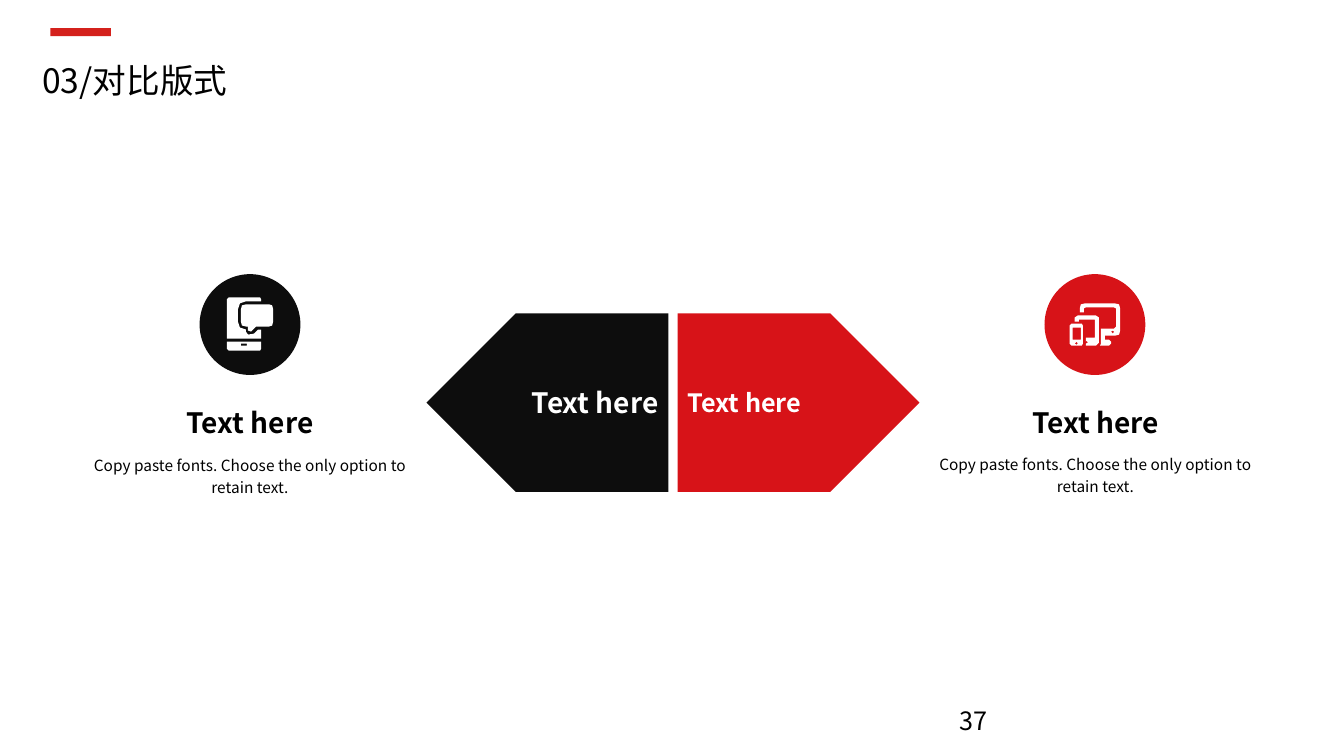
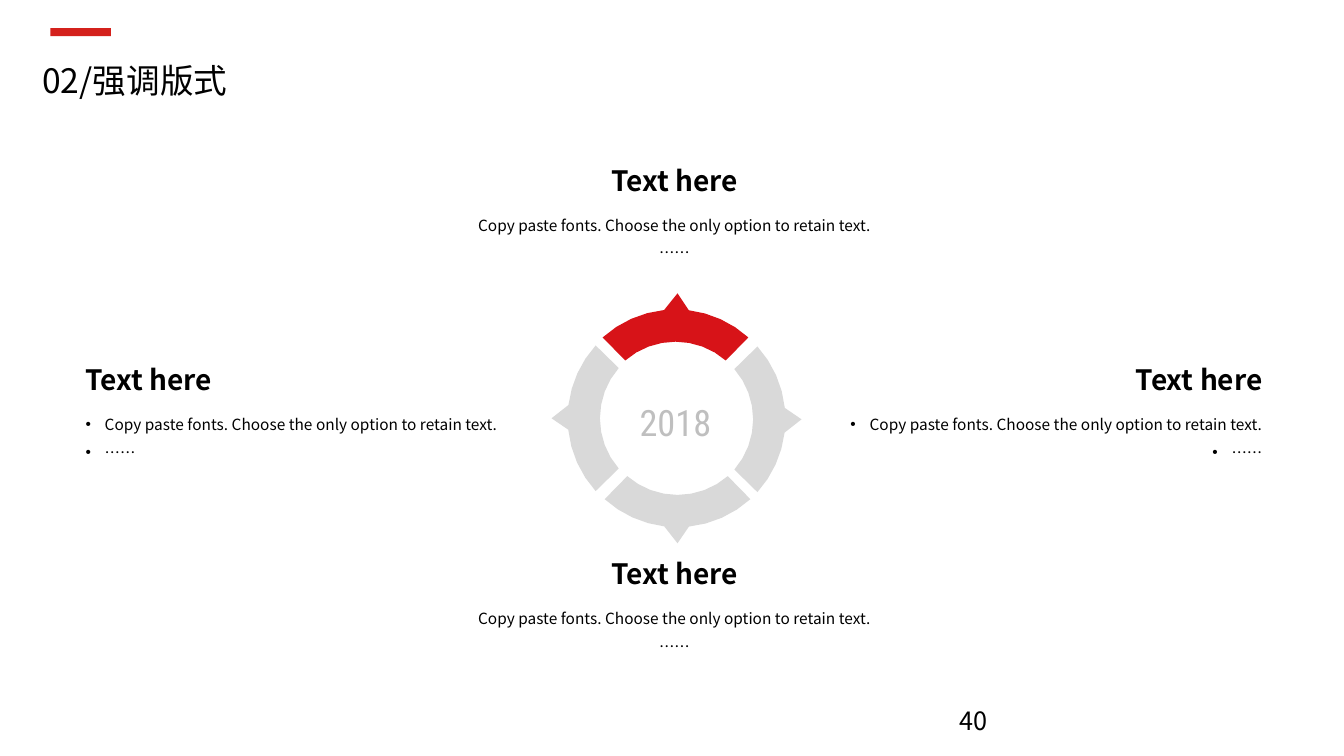
from math import cos, radians, sin

from lxml import etree
from pptx import Presentation
from pptx.dml.color import RGBColor
from pptx.enum.shapes import MSO_SHAPE
from pptx.enum.text import MSO_ANCHOR, MSO_AUTO_SIZE, PP_ALIGN
from pptx.oxml.ns import qn
from pptx.util import Inches, Pt

LEFT, MID, RIGHT = PP_ALIGN.LEFT, PP_ALIGN.CENTER, PP_ALIGN.RIGHT
TOP, CENTER, BASE = MSO_ANCHOR.TOP, MSO_ANCHOR.MIDDLE, MSO_ANCHOR.BOTTOM
RECT, OVAL, ARROW = MSO_SHAPE.RECTANGLE, MSO_SHAPE.OVAL, MSO_SHAPE.PENTAGON
FIXED = MSO_AUTO_SIZE.NONE

RED = RGBColor(0xD7, 0x13, 0x18)
BAR = RGBColor(0xD4, 0x21, 0x1C)
DARK = RGBColor(0x0D, 0x0D, 0x0D)
BLACK = RGBColor(0, 0, 0)
WHITE = RGBColor(255, 255, 255)
GREY = RGBColor(0xD9, 0xD9, 0xD9)
PALE = RGBColor(0xBF, 0xBF, 0xBF)
FONT, SLIM = "Noto Sans CJK SC", "Roboto Condensed"

# Content
HEAD = "Text here"
BODY = "Copy paste fonts. Choose the only option to retain text."
MORE = "……"

# Icon outlines, from the corner of the circle
PHONE = [
    [(0.41, 0.69), (0.47, 0.69), (0.47, 0.71), (0.41, 0.71)],
    [(0.27, 0.67), (0.61, 0.67), (0.61, 0.74), (0.6, 0.76), (0.29, 0.76),
     (0.27, 0.74)],
    [(0.46, 0.3), (0.69, 0.3), (0.72, 0.31), (0.73, 0.35), (0.73, 0.47),
     (0.72, 0.51), (0.69, 0.52), (0.56, 0.52), (0.51, 0.57), (0.48, 0.56),
     (0.48, 0.52), (0.46, 0.52), (0.42, 0.51), (0.41, 0.47), (0.41, 0.35),
     (0.42, 0.31)],
    [(0.29, 0.23), (0.6, 0.23), (0.61, 0.25), (0.61, 0.27), (0.46, 0.27),
     (0.4, 0.29), (0.38, 0.35), (0.38, 0.47), (0.4, 0.53), (0.46, 0.55),
     (0.46, 0.57), (0.48, 0.6), (0.54, 0.59), (0.58, 0.55), (0.61, 0.55),
     (0.61, 0.64), (0.27, 0.64), (0.27, 0.25)],
]
SCREENS = [
    [(0.32, 0.67), (0.33, 0.69), (0.32, 0.7), (0.3, 0.69)],
    [(0.68, 0.56), (0.69, 0.57), (0.68, 0.59), (0.66, 0.57)],
    [(0.28, 0.53), (0.28, 0.65), (0.36, 0.65), (0.36, 0.53)],
    [(0.27, 0.49), (0.37, 0.49), (0.38, 0.51), (0.38, 0.69), (0.37, 0.71),
     (0.27, 0.71), (0.25, 0.69), (0.25, 0.51)],
    [(0.33, 0.41), (0.51, 0.41), (0.54, 0.43), (0.54, 0.68), (0.51, 0.71),
     (0.41, 0.71), (0.41, 0.69), (0.43, 0.68), (0.42, 0.66), (0.41, 0.67),
     (0.41, 0.63), (0.5, 0.63), (0.5, 0.45), (0.34, 0.45), (0.34, 0.47),
     (0.3, 0.47), (0.3, 0.43)],
    [(0.4, 0.29), (0.7, 0.29), (0.74, 0.3), (0.75, 0.34), (0.75, 0.56),
     (0.74, 0.6), (0.7, 0.61), (0.6, 0.61), (0.6, 0.65), (0.64, 0.65),
     (0.66, 0.67), (0.66, 0.69), (0.64, 0.71), (0.55, 0.71), (0.56, 0.69),
     (0.56, 0.54), (0.69, 0.54), (0.71, 0.52), (0.71, 0.34), (0.69, 0.33),
     (0.41, 0.33), (0.39, 0.34), (0.39, 0.38), (0.35, 0.38), (0.35, 0.34),
     (0.36, 0.3)],
]

# Arrows: left, fill, flipped, align, text size
ARROWS = [(6.72, RED, False, LEFT, 18), (4.23, DARK, True, RIGHT, 20)]
# Columns: left, width, top of body, circle left, fill, icon
COLUMNS = [
    (9.13, 3.47, 4.43, 10.36, RED, SCREENS),
    (0.73, 3.5, 4.44, 1.98, DARK, PHONE),
]

# Ring: radii, tip radius, half width of tip
OUTER, INNER, TIP, HALF = 1.08, 0.76, 1.24, 0.12
# Quarters: turn, centre, shift of tip, fill
PARTS = [
    (90, 6.71, 4.16, 0, GREY),
    (270, 6.71, 4.15, 0, GREY),
    (180, 6.72, 4.15, 0, GREY),
    (0, 6.7, 4.15, 0.02, RED),
]
# Notes round the ring: left, top, width, align, has bullets
NOTES = [
    (4.43, 1.52, 4.52, MID, False),
    (4.43, 5.42, 4.52, MID, False),
    (0.75, 3.5, 4.63, LEFT, True),
    (7.99, 3.5, 4.63, RIGHT, True),
]


def write(frame, lines, size, color=BLACK, bold=False, align=LEFT,
          anchor=TOP, space=1, dots=False, face=FONT, wrap=True):
    frame.word_wrap = wrap
    frame.auto_size = FIXED
    frame.vertical_anchor = anchor
    for i, line in enumerate(lines):
        para = frame.paragraphs[0] if i == 0 else frame.add_paragraph()
        para.alignment = align
        para.line_spacing = space
        if dots:
            props = para._p.get_or_add_pPr()
            props.set("marL", str(Inches(0.19)))
            props.set("indent", str(-Inches(0.19)))
            etree.SubElement(props, qn("a:buFont")).set("typeface", "Arial")
            etree.SubElement(props, qn("a:buChar")).set("char", "•")
        run = para.add_run()
        run.text = line
        font = run.font
        font.size, font.bold, font.name = Pt(size), bold, face
        font.color.rgb = color
        etree.SubElement(run._r.get_or_add_rPr(), qn("a:ea")).set("typeface", face)


def label(slide, box, lines, size, **style):
    shape = slide.shapes.add_textbox(*map(Inches, box))
    write(shape.text_frame, lines, size, **style)


def paint(shape, color):
    shape.shadow.inherit = False
    shape.fill.solid()
    shape.fill.fore_color.rgb = color
    shape.line.fill.background()
    return shape


def block(slide, kind, box, color):
    return paint(slide.shapes.add_shape(kind, *map(Inches, box)), color)


def outline(slide, loops, x, y, color):
    """One shape made of closed loops placed from the point x, y."""
    loops = [[(Inches(x + a), Inches(y + b)) for a, b in loop] for loop in loops]
    form = slide.shapes.build_freeform(*loops[0][0], scale=1.0)
    for i, loop in enumerate(loops):
        if i:
            form.move_to(*loop[0])
        form.add_line_segments(loop[1:], close=True)
    paint(form.convert_to_shape(), color)


def start(deck, title, page):
    slide = deck.slides.add_slide(deck.slide_layouts[5])
    head = slide.shapes.title
    head.left, head.top = Inches(0.32), Inches(0.46)
    head.width, head.height = Inches(12.68), Inches(0.67)
    write(head.text_frame, [title], 24, space=1.2)
    block(slide, RECT, (0.5, 0.28, 0.6, 0.08), BAR)
    label(slide, (9.42, 6.95, 3, 0.4), [page], 18)
    return slide


def arc(radius, first, last, steps):
    angles = [radians(first + (last - first) * i / steps) for i in range(steps + 1)]
    return [(radius * sin(a), -radius * cos(a)) for a in angles]


def wedge(turn, shift):
    """One quarter of the ring with its tip, turned clockwise."""
    points = (arc(OUTER, -42, -6, 4) + [(shift, -TIP)]
              + arc(OUTER, 7, 42, 4) + arc(INNER, 41, -41, 8))
    c, s = cos(radians(turn)), sin(radians(turn))
    return [(x * c - y * s, x * s + y * c) for x, y in points]


def contrast(deck):
    slide = start(deck, "03/对比版式", "37")
    for left, color, flip, align, size in ARROWS:
        shape = block(slide, ARROW, (left, 3.11, 2.4, 1.77), color)
        if flip:
            shape._element.spPr.find(qn("a:xfrm")).set("flipH", "1")
        write(shape.text_frame, [HEAD], size, color=WHITE, bold=True,
              align=align, anchor=CENTER)
    for left, width, top, disc, color, icon in COLUMNS:
        block(slide, OVAL, (disc, 2.72, 1, 1), color)
        outline(slide, icon, disc, 2.72, WHITE)
        label(slide, (left, top, width, 0.61), [BODY], 11, align=MID, space=1.2)
        label(slide, (left, 3.95, width, 0.47), [HEAD], 20, bold=True,
              align=MID, anchor=CENTER)


def focus(deck):
    slide = start(deck, "02/强调版式", "40")
    for turn, x, y, shift, color in PARTS:
        outline(slide, [wedge(turn, shift)], x, y, color)
    for left, top, width, align, dots in NOTES:
        label(slide, (left, top, width, 0.48), [HEAD], 20, bold=True,
              align=align, anchor=BASE, wrap=False)
        label(slide, (left, top + 0.48, width, 0.95), [BODY, MORE], 11,
              align=align, space=1.5, dots=dots)
    # Year in the ring
    hub = block(slide, OVAL, (6.35, 3.84, 0.7, 0.7), WHITE)
    hub.line.color.rgb = WHITE
    hub.line.width = Pt(4.5)
    write(hub.text_frame, ["2018"], 25.9, color=PALE, align=MID,
          anchor=CENTER, face=SLIM, wrap=False)


def main():
    deck = Presentation()
    deck.slide_width, deck.slide_height = Inches(13.33), Inches(7.5)
    contrast(deck)
    focus(deck)
    deck.save("out.pptx")


if __name__ == "__main__":
    main()
